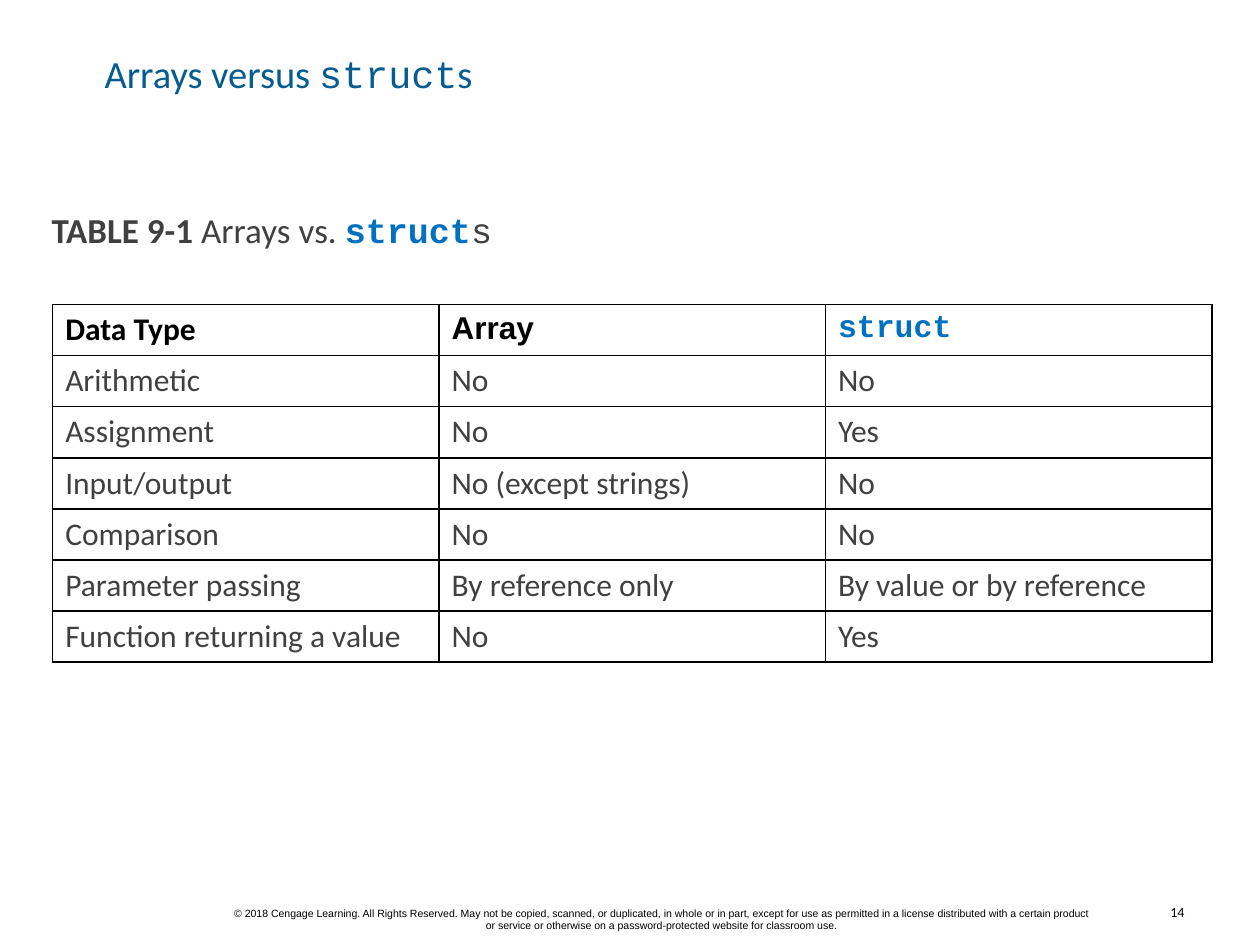
from pptx import Presentation
from pptx.dml.color import RGBColor
from pptx.enum.text import MSO_ANCHOR, PP_ALIGN
from pptx.oxml import parse_xml
from pptx.oxml.ns import nsdecls
from pptx.util import Pt

BLACK = RGBColor(0x00, 0x00, 0x00)
GREY = RGBColor(0x40, 0x40, 0x40)
NAVY = RGBColor(0x05, 0x5C, 0x91)
BLUE = RGBColor(0x00, 0x70, 0xC0)
SANS, ARIAL, MONO = "Calibri", "Arial", "Courier New"

deck = Presentation()
deck.slide_width, deck.slide_height = Pt(720), Pt(540)
slide = deck.slides.add_slide(deck.slide_layouts[6])


def style(run, size, face, color, bold=False):
    font = run.font
    font.size, font.name, font.bold = Pt(size), face, bold
    font.color.rgb = color


def add_text(left, top, width, height, size, parts, inset=True):
    """Add a text box; parts holds (text, face, color, bold) for each run."""
    box = slide.shapes.add_textbox(Pt(left), Pt(top), Pt(width), Pt(height))
    frame = box.text_frame
    frame.word_wrap = True
    if not inset:
        frame.margin_left = frame.margin_right = 0
        frame.margin_top = frame.margin_bottom = 0
    for text, *look in parts:
        run = frame.paragraphs[0].add_run()
        run.text = text
        style(run, size, *look)
    return frame


# Title
title = add_text(59.8, 31.7, 632, 23.8, 22, [
    ("Arrays versus ", SANS, NAVY, False),
    ("struct", MONO, NAVY, False),
    ("s", SANS, NAVY, False),
], inset=False)
title.vertical_anchor = MSO_ANCHOR.MIDDLE
title.paragraphs[0].line_spacing = 0.85

# Table caption
label = add_text(29.5, 121, 662.4, 23, 20, [
    ("TABLE 9-1 ", SANS, GREY, True),
    ("Arrays vs. ", SANS, GREY, False),
    ("struct", MONO, BLUE, True),
    ("s", MONO, GREY, False),
], inset=False)
label.paragraphs[0].line_spacing = 0.95

# Table of allowed operations
rows = [
    ("Data Type", "Array", "struct"),
    ("Arithmetic", "No", "No"),
    ("Assignment", "No", "Yes"),
    ("Input/output", "No (except strings)", "No"),
    ("Comparison", "No", "No"),
    ("Parameter passing", "By reference only", "By value or by reference"),
    ("Function returning a value", "No", "Yes"),
]
heads = [(SANS, BLACK, True), (ARIAL, BLACK, True), (MONO, BLUE, True)]
body = (SANS, GREY, False)

table = slide.shapes.add_table(
    len(rows), 3, Pt(30.1), Pt(174), Pt(662.4), Pt(29.2 * len(rows))).table
table.first_row = table.horz_banding = False
for r, texts in enumerate(rows):
    for c, text in enumerate(texts):
        cell = table.cell(r, c)
        cell.text_frame.text = text
        look = body if r else heads[c]
        style(cell.text_frame.paragraphs[0].runs[0], 18, *look)
        # Borders come before the fill in the cell properties
        props = cell._tc.get_or_add_tcPr()
        for side in ("lnL", "lnR", "lnT", "lnB"):
            props.append(parse_xml(
                f'<a:{side} {nsdecls("a")} w="{Pt(1)}"><a:solidFill>'
                f'<a:srgbClr val="{BLACK}"/></a:solidFill></a:{side}>'))
        cell.fill.background()

# Footer and page number
notice = (
    "© 2018 Cengage Learning. All Rights Reserved. May not be copied, "
    "scanned, or duplicated, in whole or in part, except for use as permitted "
    "in a license distributed with a certain product or service or otherwise "
    "on a password-protected website for classroom use.")
foot = add_text(126, 513.4, 504, 23.8, 6, [(notice, ARIAL, BLACK, False)])
foot.vertical_anchor = MSO_ANCHOR.MIDDLE
foot.paragraphs[0].alignment = PP_ALIGN.CENTER

page = add_text(659.5, 512.6, 24.5, 17, 8, [("14", SANS, BLACK, False)])
page.word_wrap = False
page.vertical_anchor = MSO_ANCHOR.MIDDLE
page.paragraphs[0].alignment = PP_ALIGN.RIGHT

deck.save("out.pptx")
